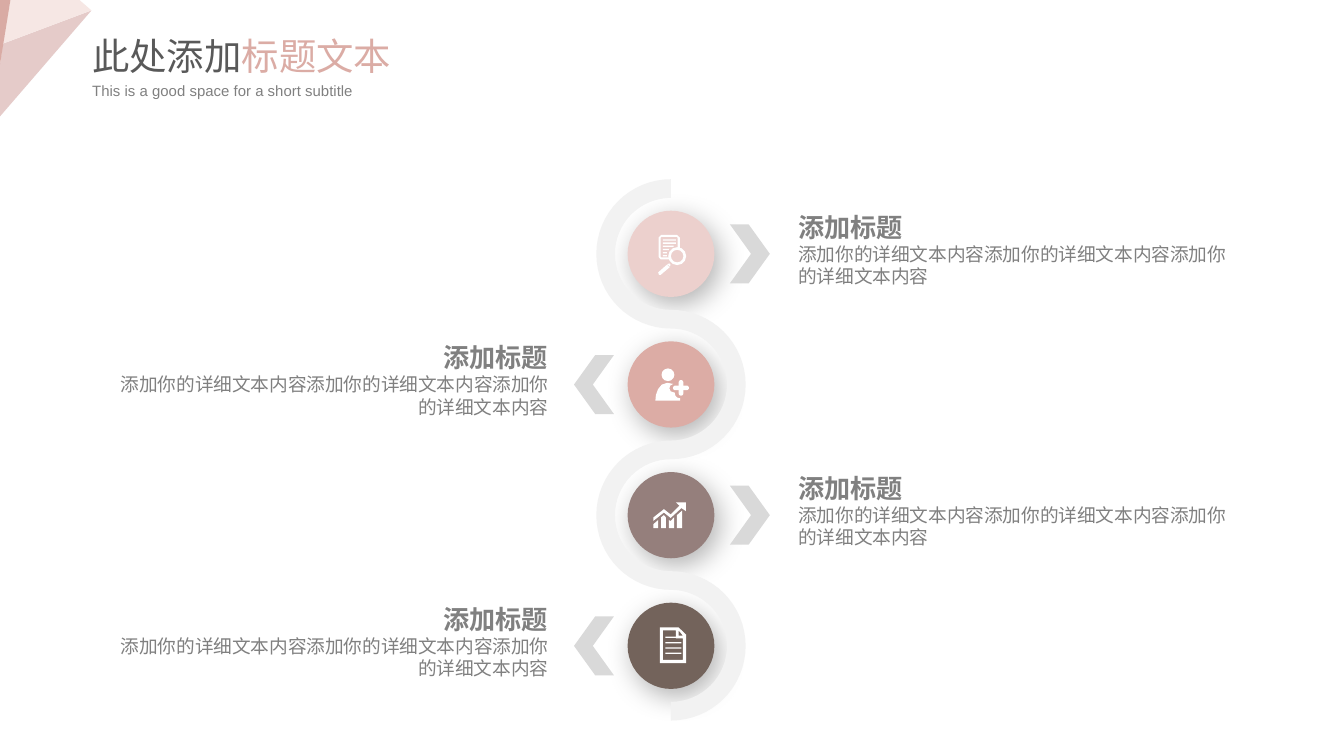
from math import cos, pi, sin

from lxml.etree import SubElement
from pptx import Presentation
from pptx.dml.color import RGBColor
from pptx.enum.shapes import MSO_SHAPE
from pptx.enum.text import MSO_AUTO_SIZE, PP_ALIGN
from pptx.oxml.ns import qn
from pptx.util import Pt

WHITE = RGBColor(0xFF, 0xFF, 0xFF)
RIBBON_GREY = RGBColor(0xF2, 0xF2, 0xF2)
CHEVRON_GREY = RGBColor(0xD9, 0xD9, 0xD9)
TEXT_GREY = RGBColor(0x80, 0x80, 0x80)
TITLE_GREY = RGBColor(0x59, 0x59, 0x59)
TITLE_PINK = RGBColor(0xDB, 0xAC, 0xA5)
CORNER_PINK = RGBColor(0xE5, 0xCB, 0xC9)
CORNER_PALE = RGBColor(0xF6, 0xE7, 0xE4)
CORNER_DEEP = RGBColor(0xD9, 0xAB, 0xA4)
STEP_COLOURS = [
    RGBColor(0xEC, 0xD0, 0xCD),
    RGBColor(0xDC, 0xAC, 0xA5),
    RGBColor(0x95, 0x7F, 0x7C),
    RGBColor(0x73, 0x63, 0x5B),
]

deck = Presentation()
deck.slide_width = Pt(720)
deck.slide_height = Pt(405)
page = deck.slides.add_slide(deck.slide_layouts[6])


def draw(outline, colour, box=None, origin=(0, 0)):
    """Draw a preset in box (left, top, width, height), or a list of closed contours."""
    x0, y0 = origin
    if box:
        left, top, width, height = box
        shape = page.shapes.add_shape(
            outline, Pt(x0 + left), Pt(y0 + top), Pt(width), Pt(height))
    else:
        contours = [[(Pt(x0 + x), Pt(y0 + y)) for x, y in contour] for contour in outline]
        builder = page.shapes.build_freeform(*contours[0][0])
        builder.add_line_segments(contours[0][1:], close=True)
        for contour in contours[1:]:
            builder.move_to(*contour[0])
            builder.add_line_segments(contour[1:], close=True)
        shape = builder.convert_to_shape()
    shape.fill.solid()
    shape.fill.fore_color.rgb = colour
    shape.line.fill.background()
    shape.shadow.inherit = False
    return shape


def add_text(paragraphs, left, top, width, height, align=PP_ALIGN.LEFT, wrap=True, inset=None):
    """Add a text box; each paragraph is a list of (text, size, colour, bold)."""
    box = page.shapes.add_textbox(Pt(left), Pt(top), Pt(width), Pt(height))
    frame = box.text_frame
    frame.word_wrap = wrap
    frame.auto_size = MSO_AUTO_SIZE.SHAPE_TO_FIT_TEXT
    if inset is not None:
        frame.margin_left = frame.margin_right = Pt(inset)
        frame.margin_top = frame.margin_bottom = Pt(inset)
    for index, spans in enumerate(paragraphs):
        para = frame.add_paragraph() if index else frame.paragraphs[0]
        para.alignment = align
        for text, size, colour, bold in spans:
            span = para.add_run()
            span.text = text
            span.font.name = "Arial"
            span.font.size = Pt(size)
            span.font.bold = bold
            span.font.color.rgb = colour


# Corner facets
draw([[(49, 5.6), (1.6, 23.4), (0, 34.6), (0, 62.4)]], CORNER_PINK)
draw([[(49, 5.6), (42.6, 0), (5.6, 0), (1.6, 23.4)]], CORNER_PALE)
draw([[(0, 0), (5.6, 0), (0, 34.6)]], CORNER_DEEP)

# Step circles with soft shadows
CENTRE_X, FIRST_Y, STEP = 359.5, 136, 70
centres = [(CENTRE_X, FIRST_Y + STEP * i) for i in range(4)]
for centre, colour in zip(centres, STEP_COLOURS):
    circle = draw(MSO_SHAPE.OVAL, colour, (-23.25, -23.1, 46.5, 46.2), centre)
    effects = circle._element.spPr.find(qn("a:effectLst"))
    shadow = SubElement(effects, qn("a:outerShdw"), blurRad=str(Pt(15)), dist=str(Pt(5)),
                        dir=str(55 * 60000), algn="tl", rotWithShape="0")
    black = SubElement(shadow, qn("a:srgbClr"), val="000000")
    SubElement(black, qn("a:alpha"), val="30000")

# Winding ribbon: half rings that swing left and right in turn
OUTER, INNER, ARC_STEPS = 40, 30, 32
edges = []
for left_radius, right_radius in ((OUTER, INNER), (INNER, OUTER)):
    edge = []
    for i, (x, y) in enumerate(centres):
        radius, side = (right_radius, 1) if i % 2 else (left_radius, -1)
        for k in range(ARC_STEPS + 1):
            angle = pi * k / ARC_STEPS
            edge.append((x + side * radius * sin(angle), y - radius * cos(angle)))
    edges.append(edge)
draw([edges[0] + edges[1][::-1]], RIBBON_GREY)

# Chevrons and step texts, alternating right and left
for i, (x, y) in enumerate(centres):
    on_left = i % 2 == 1
    chevron = draw(MSO_SHAPE.CHEVRON, CHEVRON_GREY,
                   (307.5 if on_left else 391, y - 15.8, 21.4, 31.6))
    chevron.adjustments[0] = 0.53
    chevron.rotation = 180 if on_left else 0
    add_text([[("添加标题", 14, TEXT_GREY, True)],
              [("添加你的详细文本内容" * 2 + "添加你的详细文本内容", 10, TEXT_GREY, False)]],
             61.2 if on_left else 427.7, y - 22.9, 232.5, 41,
             align=PP_ALIGN.RIGHT if on_left else PP_ALIGN.LEFT, inset=0)

search, person, chart, document = centres

# Search icon: page, text lines, lens and handle
draw([[(-0.8, 2.9), (-5.5, 2.9), (-6.7, 1.7), (-6.7, -8.6), (-5.3, -10.1), (3.3, -10.1),
       (4.8, -8.6), (4.8, -2.6), (3.6, -2.9), (3.6, -8.5), (3.2, -9), (-5.2, -9),
       (-5.6, -8.5), (-5.6, 1.5), (-5.2, 1.9), (-1.2, 1.9)]], WHITE, origin=search)
for row, width in enumerate((7, 7, 5.8, 3.3, 2.2, 2.2)):
    draw(MSO_SHAPE.RECTANGLE, WHITE, (-4.4, -7.8 + 1.7 * row, width, 0.7), search)
lens = draw(MSO_SHAPE.DONUT, WHITE, (-1.5, -3.6, 9.6, 9.6), search)
lens.adjustments[0] = 0.15
draw([[(-6.9, 9.9), (-2.2, 5.8), (-0.8, 7.2), (-5.5, 11.2), (-6.5, 11.2)],
      [(-2, 5.5), (-0.9, 5.1), (-0.3, 5.8), (-0.6, 6.8)]], WHITE, origin=search)

# Person icon: head, body and plus sign
draw(MSO_SHAPE.OVAL, WHITE, (-5.1, -8.6, 6.9, 6.8), person)
draw([[(-8.4, 8.6), (-8.1, 5.6), (-7, 2.6), (-5, 0.1), (-2, -0.9), (1.2, -0.3), (-0.4, 0.6),
       (-0.9, 2), (-0.2, 3.7), (2, 4.4), (2.3, 6), (3.2, 7), (4.9, 7.4), (4.9, 8.6)]],
     WHITE, origin=person)
for bar in ((1, 0.6, 8.6, 2.5), (4.1, -2.4, 2.5, 8.4)):
    draw(MSO_SHAPE.ROUNDED_RECTANGLE, WHITE, bar, person).adjustments[0] = 0.5

# Growth icon: bars under a rising arrow
draw([[(-9.4, 6.9), (-9.4, 4.8), (-6.9, 2.7), (-6.9, 6.9)],
      [(-5.3, 6.9), (-5.3, 1.2), (-3.8, 0), (-2.7, 1.3), (-2.7, 6.9)],
      [(-1.1, 6.9), (-1.1, 2.7), (-0.2, 3.2), (1.6, 1.2), (1.6, 6.9)],
      [(3.2, 6.9), (3.2, 0), (5.9, -2.4), (5.9, 6.9)]], WHITE, origin=chart)
draw([[(7.9, -6.9), (2.6, -6.9), (4.5, -5.1), (-0.2, -0.4), (-3.8, -3.2), (-9.4, 1.2),
       (-9.4, 3), (-3.8, -1.4), (-0.2, 1.5), (5.6, -3.8), (7.9, -2.2)]], WHITE, origin=chart)

# Document icon: folded sheet with text lines
draw([[(8.1, -6), (4.1, -9.8), (-5.9, -9.8), (-5.9, 9.3), (8.1, 9.3)],
      [(6.4, -5.4), (4.1, -5.4), (4.1, -8.2)],
      [(6.4, 7.6), (-4.3, 7.6), (-4.3, -8.2), (2.6, -8.2), (2.6, -4), (6.4, -4)]],
     WHITE, origin=document)
for row in range(4):
    draw(MSO_SHAPE.RECTANGLE, WHITE, (-3.1, -4.9 + 2.85 * row, 8.6, 0.7), document)

# Heading
add_text([[("此处添加", 20, TITLE_GREY, False), ("标题文本", 20, TITLE_PINK, False)]],
         42.3, 14.4, 176.4, 31.7, wrap=False)
add_text([[("This is a good space for a short subtitle", 8, TEXT_GREY, False)]],
         42.3, 40.3, 166.3, 17.3, wrap=False)

deck.save("out.pptx")
